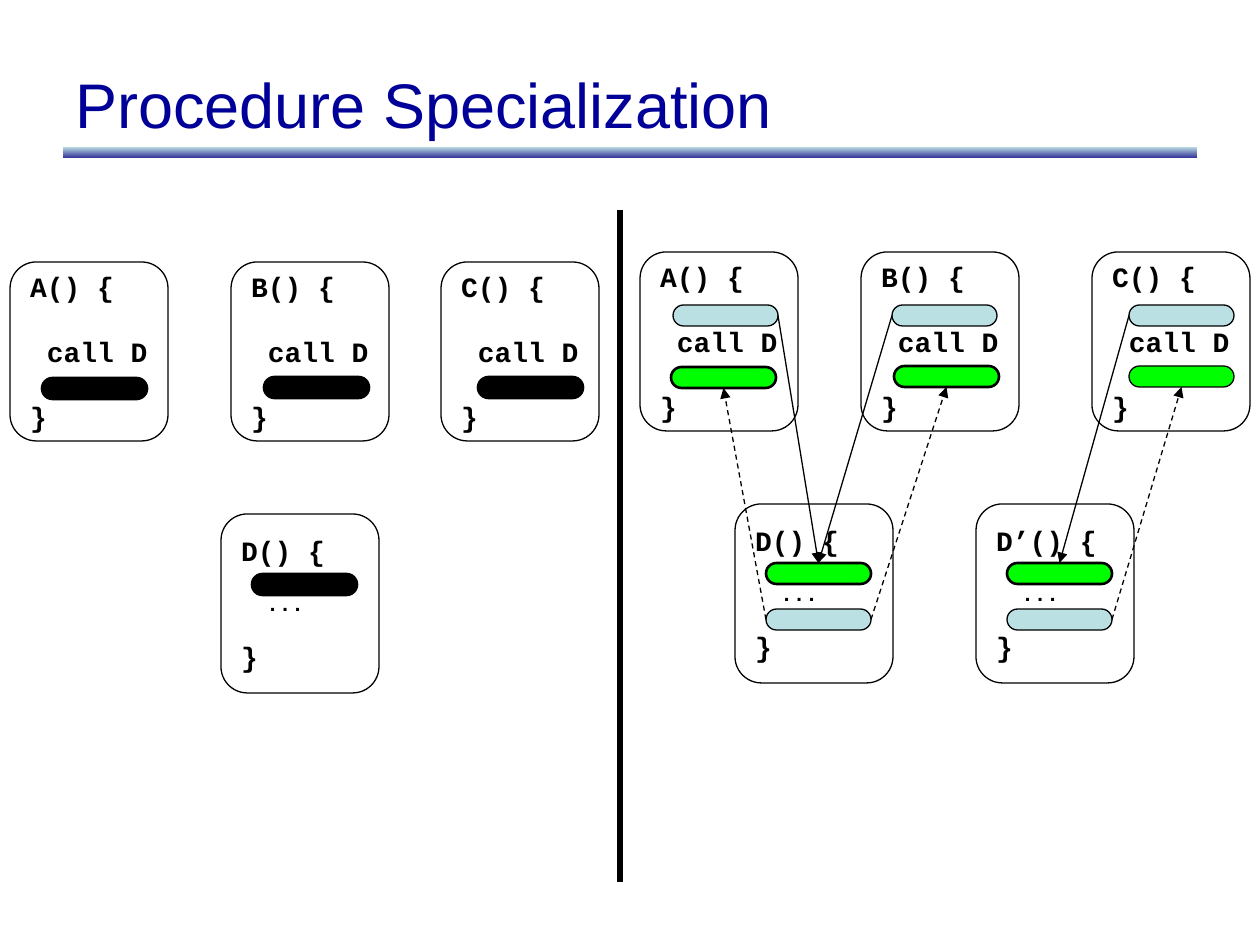
from pptx import Presentation
from pptx.dml.color import RGBColor
from pptx.enum.dml import MSO_LINE
from pptx.enum.shapes import MSO_CONNECTOR, MSO_SHAPE
from pptx.enum.text import MSO_ANCHOR, PP_ALIGN
from pptx.oxml.ns import qn
from pptx.util import Emu, Pt
from lxml.etree import SubElement

COLORS = {
    "ink": "000000",
    "title": "000099",
    "bar_top": "BBE0E3",
    "bar_bottom": "333399",
    "moved": "BBE0E3",
    "kept": "00FF00",
}
TOP, LEFT, BOTTOM, RIGHT = range(4)
BOX_SIZE = (158, 179)
MARK_SIZE = (105, 21)


def px(length):
    """Turn a length in px into EMU."""
    return Emu(round(length * 914400 / 126))


def color(key):
    """Look up a colour by its role."""
    return RGBColor.from_string(COLORS[key])


def add_block(slide, preset, box, fill=None, line_width=None):
    """Add a preset shape with an optional solid fill and black outline."""
    block = slide.shapes.add_shape(preset, *map(px, box))
    block.shadow.inherit = False
    if fill:
        block.fill.solid()
        block.fill.fore_color.rgb = color(fill)
    else:
        block.fill.background()
    if line_width:
        block.line.color.rgb = color("ink")
        block.line.width = Pt(line_width)
    else:
        block.line.fill.background()
    return block


def add_line(slide, start, end, width):
    """Add a plain black line between two points."""
    line = slide.shapes.add_connector(MSO_CONNECTOR.STRAIGHT, *map(px, start + end))
    line.line.color.rgb = color("ink")
    line.line.width = Pt(width)
    SubElement(line._element.spPr, qn("a:effectLst"))
    return line


def add_arrow(slide, source, source_side, target, target_side, dashed=False):
    """Join two marks with an arrow."""
    arrow = add_line(slide, (0, 0), (0, 0), 0.75)
    arrow.begin_connect(source, source_side)
    arrow.end_connect(target, target_side)
    if dashed:
        arrow.line.dash_style = MSO_LINE.DASH
    SubElement(arrow.line._get_or_add_ln(), qn("a:tailEnd"), type="triangle")


def add_header(slide, box):
    """Write the title and the gradient bar under it."""
    left, top, width, height = box
    title = slide.shapes.add_textbox(*map(px, box)).text_frame
    title.word_wrap = True
    title.vertical_anchor = MSO_ANCHOR.MIDDLE
    heading = title.paragraphs[0]
    heading.text = "Procedure Specialization"
    heading.font.name = "Arial"
    heading.font.size = Pt(36)
    heading.font.color.rgb = color("title")

    bar = add_block(slide, MSO_SHAPE.RECTANGLE, (left, top + 109, width, 11))
    bar.fill.gradient()
    bar.fill.gradient_angle = 270
    for stop, key in zip(bar.fill.gradient_stops, ("bar_top", "bar_bottom")):
        stop.color.rgb = color(key)


def add_procedure(slide, origin, name, body, body_size, marks):
    """Draw one procedure box with its code and return its marks."""
    left, top = origin
    box = add_block(slide, MSO_SHAPE.ROUNDED_RECTANGLE, (left, top, *BOX_SIZE), line_width=0.75)
    code = box.text_frame
    code.word_wrap = True
    code.margin_right = 0
    code.vertical_anchor = MSO_ANCHOR.MIDDLE
    gap = Pt(round(body_size * 1.133, 1))
    lines = ((f"{name}() {{", 16), (body, body_size), ("}", 16))
    for index, (text, size) in enumerate(lines):
        line = code.add_paragraph() if index else code.paragraphs[0]
        line.text = text
        line.alignment = PP_ALIGN.LEFT
        line.font.name = "Courier New"
        line.font.size = Pt(size)
        line.font.bold = True
        line.font.color.rgb = color("ink")
        if index:
            line.space_before = gap

    drawn = []
    for x, y, fill, width in marks:
        mark = add_block(slide, MSO_SHAPE.ROUNDED_RECTANGLE,
                         (left + x, top + y, *MARK_SIZE), fill, width)
        mark.adjustments[0] = 0.5
        drawn.append(mark)
    return drawn


def add_caller(slide, origin, name, marks):
    """Draw a procedure that calls D."""
    return add_procedure(slide, origin, name, " call D", 16, marks)


def add_callee(slide, origin, name, marks):
    """Draw a procedure that is called."""
    return add_procedure(slide, origin, name, "  ...", 12, marks)


def add_before(slide, origin):
    """Draw the procedures before specialization."""
    left, top = origin
    for name, x, mark_x, mark_y in (("A", 0, 32, 116), ("B", 221, 33, 115), ("C", 431, 37, 115)):
        add_caller(slide, (left + x, top), name, [(mark_x, mark_y, "ink", 1.5)])
    add_callee(slide, (left + 211, top + 252), "D", [(31, 60, "ink", 1.5)])


def add_after(slide, origin):
    """Draw the specialized procedures and the flow between them."""
    left, top = origin
    callers = (
        ("A", 0, 33, 31, 115, 1.5),
        ("B", 221, 31, 33, 114, 1.5),
        ("C", 452, 37, 37, 114, 0.75),
    )
    calls, returns = {}, {}
    for name, x, call_x, return_x, return_y, width in callers:
        marks = [(call_x, 53, "moved", 0.75), (return_x, return_y, "kept", width)]
        calls[name], returns[name] = add_caller(slide, (left + x, top), name, marks)

    entries, exits = {}, {}
    for name, x in (("D", 95), ("D’", 336)):
        marks = [(31, 59, "kept", 1.5), (31, 105, "moved", 0.75)]
        entries[name], exits[name] = add_callee(slide, (left + x, top + 252), name, marks)

    flows = (("A", RIGHT, "D", LEFT), ("B", LEFT, "D", RIGHT), ("C", LEFT, "D’", RIGHT))
    for caller, call_side, callee, exit_side in flows:
        add_arrow(slide, calls[caller], call_side, entries[callee], TOP)
        add_arrow(slide, exits[callee], exit_side, returns[caller], BOTTOM, dashed=True)


def main():
    """Build the slide."""
    deck = Presentation()
    deck.slide_width, deck.slide_height = px(1260), px(945)
    slide = deck.slides.add_slide(deck.slide_layouts[6])
    add_header(slide, (63, 38, 1134, 130))
    add_after(slide, (640, 252))
    add_before(slide, (10, 262))
    add_line(slide, (620, 210), (620, 882), 3)
    deck.save("out.pptx")


if __name__ == "__main__":
    main()
